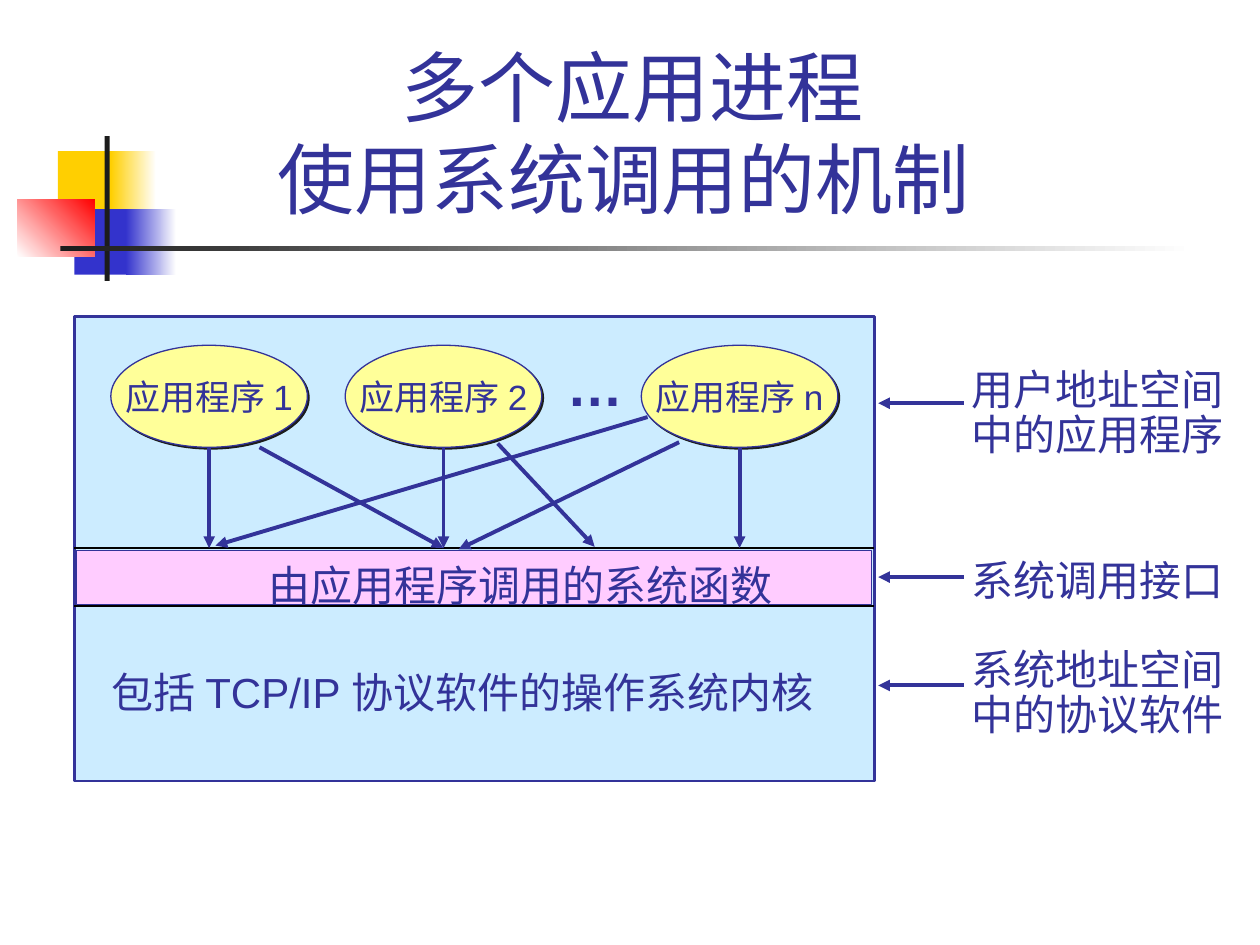
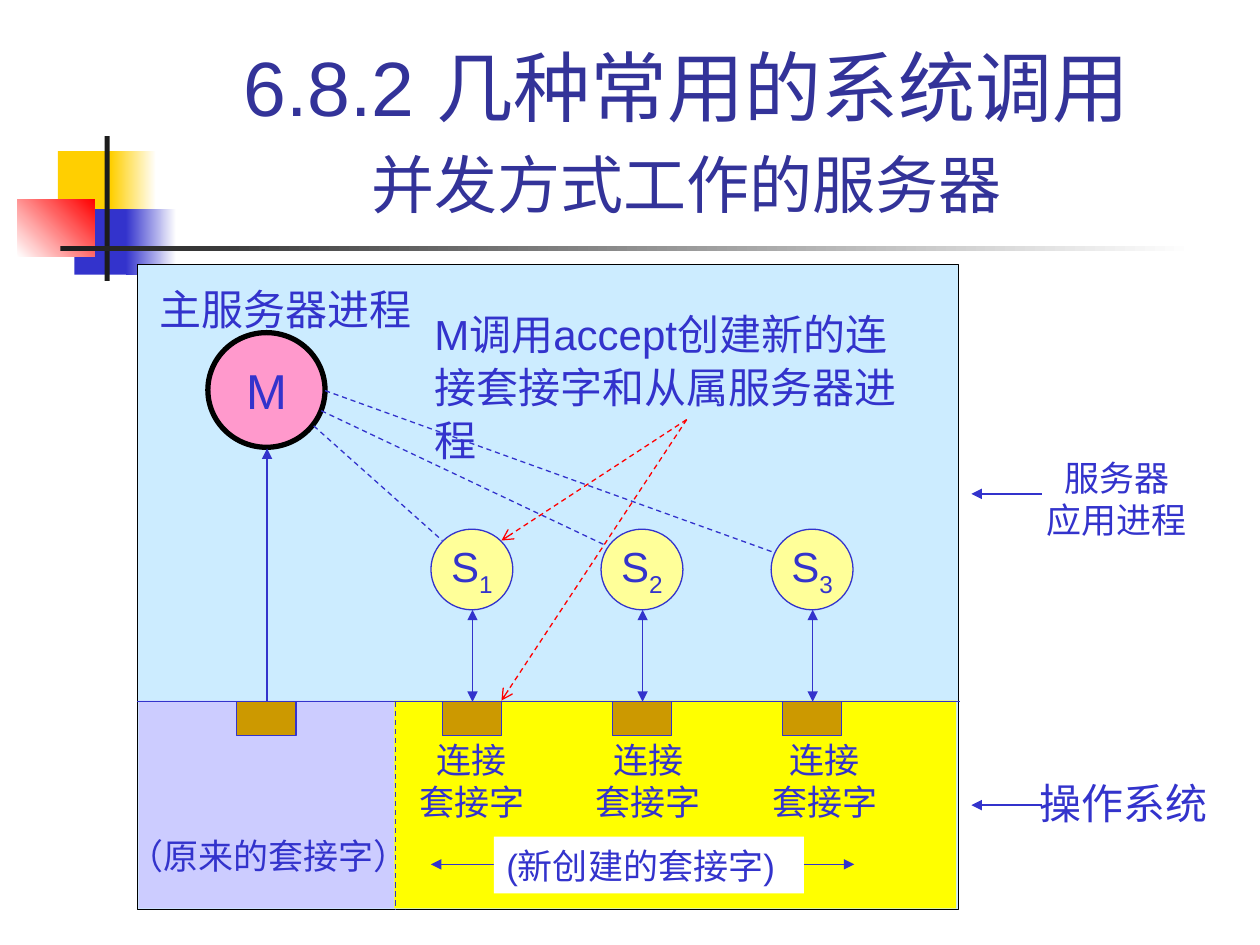
from dataclasses import dataclass

from lxml import etree
from pptx import Presentation
from pptx.dml.color import RGBColor
from pptx.enum.dml import MSO_LINE
from pptx.enum.shapes import MSO_CONNECTOR, MSO_SHAPE
from pptx.enum.text import MSO_ANCHOR, MSO_AUTO_SIZE, PP_ALIGN
from pptx.oxml.ns import qn
from pptx.util import Inches, Pt


@dataclass(frozen=True)
class Theme:
    font: str = "Arial"
    navy: str = "333399"
    blue: str = "3333CC"
    black: str = "000000"
    ink: str = "1C1C1C"
    white: str = "FFFFFF"
    red: str = "FF0000"
    gold: str = "FFCF01"
    sky: str = "CCECFF"
    cream: str = "FFFF99"
    pink: str = "FFCCFF"
    rose: str = "FF99CC"
    lilac: str = "CCCCFF"
    yellow: str = "FFFF00"
    brown: str = "CC9900"
    title: int = 44
    subtitle: int = 36
    ellipsis: int = 32
    master: int = 28
    body: int = 24
    small: int = 20
    thin: float = 0.75
    frame: float = 1.5
    thick: float = 2.25
    ring: float = 3


THEME = Theme()

# Decoration shared by the slides: box, first colour, second colour, angle
DECORATION = [
    ((0.46, 1.2, 0.48, 0.52), THEME.gold, None, 0),
    ((0.88, 1.2, 0.36, 0.52), THEME.gold, THEME.white, 0),
    ((0.59, 1.66, 0.46, 0.52), THEME.blue, None, 0),
    ((1, 1.66, 0.4, 0.52), THEME.blue, THEME.white, 0),
    ((0.14, 1.58, 0.61, 0.46), THEME.white, THEME.red, 45),
    ((0.83, 1.08, 0.04, 1.15), THEME.ink, None, 0),
    ((0.48, 1.95, 9, 0.04), THEME.ink, THEME.white, 0),
]

# Slide 1: several applications using system calls
CALLS_TITLE = ["多个应用进程", "使用系统调用的机制"]
APPLICATIONS = [("应用程序 1", 0.88), ("应用程序 2", 2.74), ("应用程序 n", 5.09)]
APP_TOP, APP_WIDTH, APP_HEIGHT = 2.74, 1.56, 0.81
INTERFACE_TOP, INTERFACE_BOTTOM = 4.35, 4.81
CROSS_CALLS = [
    ((2.06, 3.55), (3.52, 4.35)),
    ((5.39, 3.51), (3.64, 4.36)),
    ((5.14, 3.31), (1.71, 4.33)),
    ((3.95, 3.52), (4.72, 4.34)),
]
# Lines, text top, text height, arrow height, line spacing
LAYER_LABELS = [
    (["用户地址空间", "中的应用程序"], 2.88, 0.82, 3.2, 0.9),
    (["系统调用接口"], 4.35, 0.5, 4.58, None),
    (["系统地址空间", "中的协议软件"], 5.1, 0.82, 5.44, 0.9),
]

# Slide 2: concurrent server
SERVER_TITLE = ["6.8.2 几种常用的系统调用 ", "并发方式工作的服务器"]
SLAVES = ["1", "2", "3"]
SLAVE_X, SLAVE_PITCH = 3.75, 1.35
SLAVE_TOP, SLAVE_WIDTH, SLAVE_HEIGHT = 4.2, 0.65, 0.64
SOCKET_LABEL_X, SOCKET_LABEL_PITCH = 3.23, 1.4
SYSTEM_TOP = 5.57
MASTER_X = 2.12
MASTER_LINKS = [
    ((2.49, 3.38), (3.51, 4.29)),
    ((2.55, 3.26), (4.81, 4.33)),
    ((2.58, 3.1), (6.13, 4.38)),
]
CREATED_FROM, CREATED_ENDS = (5.45, 3.33), [(3.98, 4.29), (3.98, 5.56)]
# Lines, box, size, alignment, line spacing, wrap
SERVER_TEXTS = [
    (["操作系统"], (8.15, 6.12, 1.53, 0.5), THEME.body, PP_ALIGN.CENTER, None, False),
    (["服务器", "应用进程"], (8.21, 3.57, 1.31, 0.77), THEME.small,
     PP_ALIGN.CENTER, None, False),
    (["M调用accept创建新的连接套接字和从属服务器进程"], (3.35, 2.38, 4.1, 1.36),
     THEME.body, PP_ALIGN.LEFT, 1.05, True),
    (["主服务器进程"], (1.17, 2.18, 2.2, 0.52), THEME.body, PP_ALIGN.LEFT, 1.05, False),
    (["（原来的套接字）"], (0.92, 6.56, 2.42, 0.45), THEME.small,
     PP_ALIGN.LEFT, 1.05, False),
]


def rgb(color):
    return RGBColor.from_string(color)


def style_run(run, size, color, bold=False):
    font = run.font
    font.name, font.size, font.bold = THEME.font, Pt(size), bold
    font.color.rgb = rgb(color)


def write(shape, lines, size, color, align=PP_ALIGN.LEFT, spacing=None,
          wrap=False, bold=False, grow=True):
    frame = shape.text_frame
    frame.text = "\n".join(lines)
    frame.word_wrap = wrap
    frame.auto_size = MSO_AUTO_SIZE.SHAPE_TO_FIT_TEXT if grow else MSO_AUTO_SIZE.NONE
    if not wrap:
        # Spare room keeps tight single lines from breaking
        frame.margin_right = 0
        if align == PP_ALIGN.CENTER:
            frame.margin_left = 0
    for paragraph in frame.paragraphs:
        paragraph.alignment = align
        if spacing:
            paragraph.line_spacing = spacing
        for run in paragraph.runs:
            style_run(run, size, color, bold)
    return frame


def add_text(slide, lines, box, size, color, **options):
    shape = slide.shapes.add_textbox(*map(Inches, box))
    return write(shape, lines, size, color, **options)


def add_block(slide, box, fill, line=None, width=THEME.thin, kind=MSO_SHAPE.RECTANGLE):
    shape = slide.shapes.add_shape(kind, *map(Inches, box))
    shape.shadow.inherit = False
    shape.fill.solid()
    shape.fill.fore_color.rgb = rgb(fill)
    if line:
        shape.line.color.rgb = rgb(line)
        shape.line.width = Pt(width)
    else:
        shape.line.fill.background()
    return shape


def add_node(slide, box, fill, line, label, size, color, width=THEME.thin):
    shape = add_block(slide, box, fill, line, width, MSO_SHAPE.OVAL)
    frame = write(shape, [label], size, color, align=PP_ALIGN.CENTER, grow=False)
    frame.vertical_anchor = MSO_ANCHOR.MIDDLE
    return shape


def add_line(slide, start, end, color, width=THEME.thin, dash=False, head=None, tail=None):
    points = map(Inches, (*start, *end))
    connector = slide.shapes.add_connector(MSO_CONNECTOR.STRAIGHT, *points)
    connector.line.color.rgb = rgb(color)
    connector.line.width = Pt(width)
    if dash:
        connector.line.dash_style = MSO_LINE.DASH
    properties = connector.element.spPr
    outline = properties.find(qn("a:ln"))
    for tag, arrow in (("a:headEnd", head), ("a:tailEnd", tail)):
        if arrow:
            etree.SubElement(outline, qn(tag), type=arrow)
    etree.SubElement(properties, qn("a:effectLst"))


def add_hard_shadow(shape):
    effects = shape.element.spPr.find(qn("a:effectLst"))
    shadow = etree.SubElement(effects, qn("a:outerShdw"), blurRad="0",
                              dist=str(Pt(1.4)), dir="2700000", algn="ctr", rotWithShape="0")
    etree.SubElement(shadow, qn("a:srgbClr"), val=THEME.ink)


def new_slide(presentation, title, title_width, sizes):
    slide = presentation.slides.add_slide(presentation.slide_layouts[6])
    for box, first, second, angle in DECORATION:
        shape = add_block(slide, box, first)
        if second:
            shape.fill.gradient()
            shape.fill.gradient_angle = angle
            for stop, color, position in zip(shape.fill.gradient_stops, (first, second), (0, 1)):
                stop.color.rgb = rgb(color)
                stop.position = position
    frame = add_text(slide, title, (1.26, 0.23, title_width, 1.6), THEME.title,
                     THEME.navy, align=PP_ALIGN.CENTER, wrap=True, grow=False)
    frame.vertical_anchor = MSO_ANCHOR.BOTTOM
    for paragraph, size in zip(frame.paragraphs, sizes):
        paragraph.runs[0].font.size = Pt(size)
    # A full-size closing space sets the height of the last line
    closing = frame.paragraphs[-1].add_run()
    closing.text = " "
    style_run(closing, THEME.title, THEME.navy)
    return slide


def build_calls_slide(presentation):
    slide = new_slide(presentation, CALLS_TITLE, 7.52, (THEME.title, THEME.title))
    add_block(slide, (0.59, 2.51, 6.35, 3.69), THEME.sky, THEME.navy, THEME.frame)

    # Applications
    for label, left in APPLICATIONS:
        box = (left, APP_TOP, APP_WIDTH, APP_HEIGHT)
        add_hard_shadow(add_node(slide, box, THEME.cream, THEME.navy, label,
                                 THEME.small, THEME.navy))
    add_text(slide, ["…"], (4.4, 2.73, 0.64, 0.64), THEME.ellipsis, THEME.navy, bold=True)

    # System call interface and kernel
    add_block(slide, (0.61, 4.37, 6.31, 0.43), THEME.pink, THEME.navy)
    for y in (INTERFACE_TOP, INTERFACE_BOTTOM):
        add_line(slide, (0.59, y), (6.94, y), THEME.black)
    add_text(slide, ["由应用程序调用的系统函数"], (2.03, 4.39, 4.2, 0.5),
             THEME.body, THEME.navy)
    add_text(slide, ["包括 TCP/IP 协议软件的操作系统内核"], (0.79, 5.24, 6.02, 0.5),
             THEME.body, THEME.navy)

    # Calls from the applications
    centers = [left + APP_WIDTH / 2 for _, left in APPLICATIONS]
    direct_calls = [((x, APP_TOP + APP_HEIGHT), (x, INTERFACE_TOP)) for x in centers]
    for start, end in direct_calls + CROSS_CALLS:
        add_line(slide, start, end, THEME.navy, THEME.thick, tail="triangle")

    # Layer labels
    for lines, top, height, y, spacing in LAYER_LABELS:
        add_text(slide, lines, (7.61, top, 2.2, height), THEME.body, THEME.navy,
                 spacing=spacing)
        add_line(slide, (7.65, y), (6.97, y), THEME.navy, THEME.thick, tail="triangle")


def build_server_slide(presentation):
    slide = new_slide(presentation, SERVER_TITLE, 8.52, (THEME.title, THEME.subtitle))

    # Process space above the two socket areas
    add_block(slide, (1.09, 2.1, 6.52, 5.12), THEME.sky, THEME.black)
    add_block(slide, (1.1, 5.56, 2.03, 1.65), THEME.lilac)
    add_block(slide, (3.13, 5.56, 4.46, 1.65), THEME.yellow)
    add_line(slide, (1.09, SYSTEM_TOP), (7.62, SYSTEM_TOP), THEME.blue)
    add_line(slide, (3.14, SYSTEM_TOP), (3.14, 7.22), THEME.blue, dash=True)

    # Master process
    add_node(slide, (1.65, 2.64, 0.93, 0.91), THEME.rose, THEME.black, "M",
             THEME.master, THEME.blue, THEME.ring)
    add_line(slide, (MASTER_X, SYSTEM_TOP), (MASTER_X, 3.56), THEME.blue, tail="triangle")

    # Slave processes with their connection sockets
    slave_centers = [SLAVE_X + i * SLAVE_PITCH for i in range(len(SLAVES))]
    for i, (number, x) in enumerate(zip(SLAVES, slave_centers)):
        box = (x - 0.33, SLAVE_TOP, SLAVE_WIDTH, SLAVE_HEIGHT)
        node = add_node(slide, box, THEME.cream, THEME.blue, "S", THEME.body, THEME.blue)
        subscript = node.text_frame.paragraphs[0].add_run()
        subscript.text = number
        style_run(subscript, THEME.body, THEME.blue)
        subscript.font._element.set("baseline", "-25000")
        add_line(slide, (x, SLAVE_TOP + SLAVE_HEIGHT), (x, SYSTEM_TOP), THEME.blue,
                 head="triangle", tail="triangle")
        label_box = (SOCKET_LABEL_X + i * SOCKET_LABEL_PITCH, 5.81, 1.03, 0.77)
        add_text(slide, ["连接", "套接字"], label_box, THEME.small, THEME.blue,
                 align=PP_ALIGN.CENTER)
    for x in [MASTER_X, *slave_centers]:
        add_block(slide, (x - 0.24, SYSTEM_TOP, 0.47, 0.27), THEME.brown, THEME.blue)

    # Links from the master process
    for start, end in MASTER_LINKS:
        add_line(slide, start, end, THEME.blue, dash=True)

    # Labels and their arrows
    for lines, box, size, align, spacing, wrap in SERVER_TEXTS:
        add_text(slide, lines, box, size, THEME.blue, align=align, spacing=spacing, wrap=wrap)
    for y in (3.92, 6.39):
        add_line(slide, (8.27, y), (7.71, y), THEME.blue, tail="triangle")
    add_line(slide, (3.42, 6.86), (6.78, 6.86), THEME.blue, head="triangle", tail="triangle")
    created = add_block(slide, (3.92, 6.64, 2.46, 0.45), THEME.white)
    frame = write(created, ["(新创建的套接字)"], THEME.small, THEME.blue, spacing=1.05)
    frame.vertical_anchor = MSO_ANCHOR.TOP

    # What accept creates
    for end in CREATED_ENDS:
        add_line(slide, CREATED_FROM, end, THEME.red, dash=True, tail="arrow")


def main():
    presentation = Presentation()
    presentation.slide_width, presentation.slide_height = Inches(10), Inches(7.5)
    build_calls_slide(presentation)
    build_server_slide(presentation)
    presentation.save("out.pptx")


if __name__ == "__main__":
    main()
